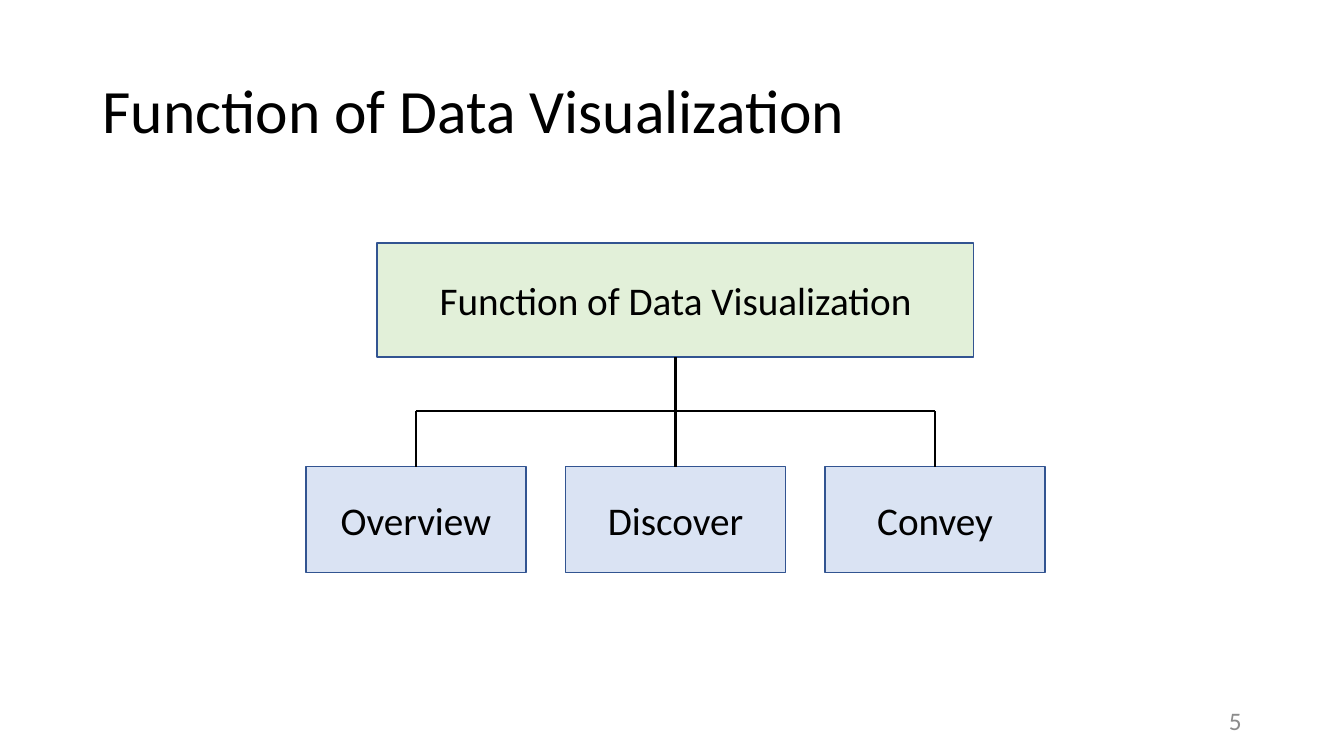
from lxml import etree
from pptx import Presentation
from pptx.dml.color import RGBColor
from pptx.enum.shapes import MSO_CONNECTOR, MSO_SHAPE
from pptx.enum.text import MSO_ANCHOR, PP_ALIGN
from pptx.oxml.ns import qn
from pptx.util import Pt

RECT = MSO_SHAPE.RECTANGLE
LINE = MSO_CONNECTOR.STRAIGHT
MIDDLE = MSO_ANCHOR.MIDDLE
LEFT, CENTER, RIGHT = PP_ALIGN.LEFT, PP_ALIGN.CENTER, PP_ALIGN.RIGHT
TOP_SIDE, BOTTOM_SIDE = 0, 2

COLORS = {"black": "000000", "gray": "8C8C8C", "border": "325491",
          "green": "E2F0D9", "blue": "DAE3F3"}
TITLE = "Function of Data Visualization"
MID = 482.5
STEP = 185.4
BUS = 293.8
ROOT_TOP, ROOT_W, ROOT_H = 173.5, 426.2, 81.6
LEAF_TOP, LEAF_W, LEAF_H = 333.4, 157, 75.6


def write(shape, text, size, align, color="black"):
    """Fill a shape with one vertically centred line of text."""
    frame = shape.text_frame
    frame.text = text
    frame.word_wrap = True
    frame.vertical_anchor = MIDDLE
    para = frame.paragraphs[0]
    para.alignment = align
    font = para.runs[0].font
    font.name = "Calibri"
    font.size = Pt(size)
    font.color.rgb = RGBColor.from_string(COLORS[color])


def link(x1, y1, x2, y2):
    """Draw a plain black line between two points."""
    line = slide.shapes.add_connector(LINE, Pt(x1), Pt(y1), Pt(x2), Pt(y2))
    line.line.color.rgb = RGBColor.from_string(COLORS["black"])
    line.line.width = Pt(1.5)
    etree.SubElement(line._element.spPr, qn("a:effectLst"))
    return line


prs = Presentation()
prs.slide_width, prs.slide_height = Pt(960), Pt(540)
slide = prs.slides.add_slide(prs.slide_layouts[5])

title = slide.shapes.title
title.left, title.top = Pt(66), Pt(28.8)
title.width, title.height = Pt(828), Pt(104.4)
write(title, TITLE, 44, LEFT)
title.text_frame.paragraphs[0].line_spacing = 0.9

number = slide.shapes.add_textbox(Pt(678), Pt(500.5), Pt(216), Pt(28.8))
write(number, "5", 18, RIGHT, "gray")

# Boxes: text, centre, top, width, height, fill
specs = [(TITLE, MID, ROOT_TOP, ROOT_W, ROOT_H, "green")]
for i, name in enumerate(["Overview", "Discover", "Convey"]):
    specs.append((name, MID + (i - 1) * STEP, LEAF_TOP, LEAF_W, LEAF_H, "blue"))

boxes = []
for text, x, top, width, height, fill in specs:
    box = slide.shapes.add_shape(
        RECT, Pt(x - width / 2), Pt(top), Pt(width), Pt(height))
    box.shadow.inherit = False
    box.fill.solid()
    box.fill.fore_color.rgb = RGBColor.from_string(COLORS[fill])
    box.line.color.rgb = RGBColor.from_string(COLORS["border"])
    box.line.width = Pt(1)
    write(box, text, 28, CENTER)
    boxes.append(box)

# Tree lines
root, left, center, right = boxes
trunk = link(MID, ROOT_TOP + ROOT_H, MID, LEAF_TOP)
trunk.begin_connect(root, BOTTOM_SIDE)
trunk.end_connect(center, TOP_SIDE)
link(MID - STEP, BUS, MID + STEP, BUS)
for leaf, x in [(left, MID - STEP), (right, MID + STEP)]:
    link(x, BUS, x, LEAF_TOP).end_connect(leaf, TOP_SIDE)

prs.save("out.pptx")
